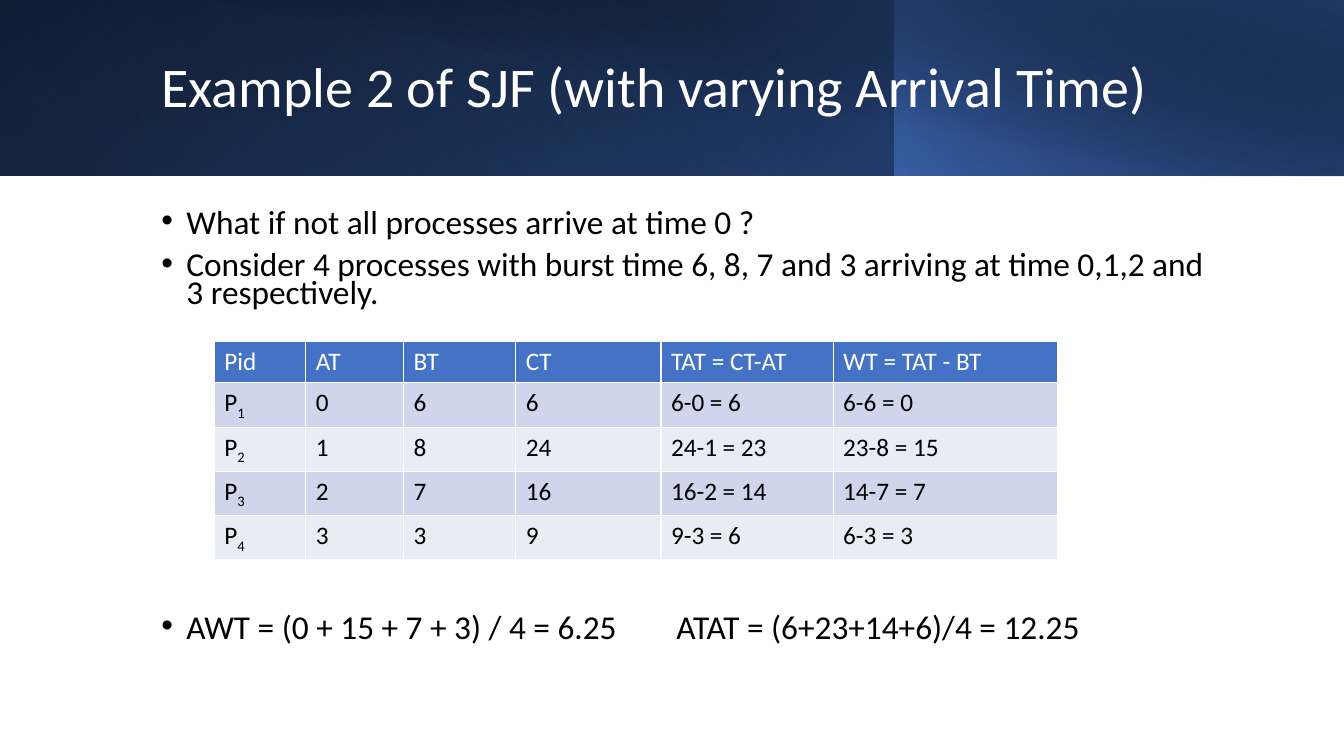
from pptx import Presentation
from pptx.dml.color import RGBColor
from pptx.enum.shapes import MSO_SHAPE
from pptx.enum.text import MSO_ANCHOR, MSO_AUTO_SIZE, PP_ALIGN
from pptx.oxml import parse_xml
from pptx.oxml.ns import nsdecls
from pptx.util import Inches, Pt

RECT = MSO_SHAPE.RECTANGLE
MIDDLE, TOP = MSO_ANCHOR.MIDDLE, MSO_ANCHOR.TOP
LEFT = PP_ALIGN.LEFT
NO_FIT = MSO_AUTO_SIZE.NONE
FONT = "Calibri"
WHITE, BLACK, BLUE, NAVY = "FFFFFF", "000000", "4472C4", "203864"
WIDE, HIGH = Inches(13.333), Inches(7.5)
COLS, ROWS = 160, 90

BANDS = [
    ((0, 0, 160, 20.9), True, 0, 140, [(0, BLACK, 100), (100, "2F5597", 100)]),
    ((0, 0, 106.5, 20.9), True, 180, 230, [(20, BLUE, 0), (100, NAVY, 55)]),
    ((106.5, 0, 53.5, 20.9), True, 0, 220, [(0, BLUE, 66), (100, BLACK, 30)]),
    ((6, 0, 154, 21), False, 0, 280, [(50, BLACK, 0), (99, NAVY, 52)]),
]
POINTS = [
    ("What if not all processes arrive at time 0 ?", 0),
    ("Consider 4 processes with burst time 6, 8, 7 and 3 arriving at time 0,1,2 and 3 respectively.", 10),
    ("AWT = (0 + 15 + 7 + 3) / 4 = 6.25\tATAT = (6+23+14+6)/4 = 12.25", 219),
]
HEADS = ["Pid", "AT", "BT", "CT", "TAT = CT-AT", "WT = TAT - BT"]
TIMES = [
    ("0", "6", "6", "6-0 = 6", "6-6 = 0"),
    ("1", "8", "24", "24-1 = 23", "23-8 = 15"),
    ("2", "7", "16", "16-2 = 14", "14-7 = 7"),
    ("3", "3", "9", "9-3 = 6", "6-3 = 3"),
]
SPANS = [10.9, 11.65, 13.35, 17.3, 20.5, 26.7]


def color(code):
    return RGBColor.from_string(code)


def place(box):
    x, y, w, h = box
    return [int(n) for n in (WIDE * x / COLS, HIGH * y / ROWS,
                             WIDE * w / COLS, HIGH * h / ROWS)]


def move(shape, box):
    shape.left, shape.top, shape.width, shape.height = place(box)


def add_run(para, text, size, code, sub=False):
    run = para.add_run()
    run.text = text
    font = run.font
    font.name, font.size, font.bold = FONT, Pt(size), False
    font.color.rgb = color(code)
    if sub:
        run._r.get_or_add_rPr().set("baseline", "-25000")


def add_band(slide, box, flip, turn, angle, stops):
    band = slide.shapes.add_shape(RECT, *place(box))
    band.shadow.inherit = False
    band.line.fill.background()
    band.rotation = turn
    props = band._element.spPr
    if flip:
        props.xfrm.set("flipH", "1")
    marks = "".join(
        f'<a:gs pos="{pos * 1000}"><a:srgbClr val="{code}">'
        f'<a:alpha val="{alpha * 1000}"/></a:srgbClr></a:gs>'
        for pos, code, alpha in stops)
    props.insert(2, parse_xml(
        f'<a:gradFill {nsdecls("a")} rotWithShape="1"><a:gsLst>{marks}</a:gsLst>'
        f'<a:lin ang="{angle * 60000}" scaled="0"/></a:gradFill>'))


def add_title(slide, box):
    title = slide.shapes.title
    slide.shapes._spTree.append(title._element)
    move(title, box)
    frame = title.text_frame
    frame.auto_size, frame.vertical_anchor = NO_FIT, MIDDLE
    para = frame.paragraphs[0]
    para.alignment, para.line_spacing = LEFT, 0.9
    add_run(para, "Example 2 of SJF (with varying Arrival Time)", 40, WHITE)


def add_points(slide, box):
    body = slide.placeholders[1]
    slide.shapes._spTree.append(body._element)
    move(body, box)
    frame = body.text_frame
    frame.auto_size, frame.vertical_anchor = NO_FIT, TOP
    for i, (text, gap) in enumerate(POINTS):
        para = frame.add_paragraph() if i else frame.paragraphs[0]
        para.alignment, para.line_spacing = LEFT, 0.7
        para.space_before = Pt(gap)
        props = para._p.get_or_add_pPr()
        props.set("marL", str(Inches(0.25)))
        props.set("indent", str(-Inches(0.25)))
        for tag in (
                '<a:buFont {} typeface="Arial"/>',
                '<a:buChar {} char="•"/>',
                f'<a:tabLst {{}}><a:tab pos="{Inches(5.11)}" algn="l"/></a:tabLst>'):
            props.append(parse_xml(tag.format(nsdecls("a"))))
        add_run(para, text, 23.8, BLACK)


def add_times(slide, box):
    rows = [HEADS] + [("P", *line) for line in TIMES]
    table = slide.shapes.add_table(len(rows), len(HEADS), *place(box)).table
    for col, span in zip(table.columns, SPANS):
        col.width = int(WIDE * span / COLS)
    for r, row in enumerate(rows):
        shade = ("E9EBF5", "CFD5EA")[r % 2] if r else BLUE
        ink = BLACK if r else WHITE
        for c, text in enumerate(row):
            cell = table.cell(r, c)
            cell.fill.solid()
            cell.fill.fore_color.rgb = color(shade)
            para = cell.text_frame.paragraphs[0]
            add_run(para, text, 18, ink)
            if r and c == 0:
                add_run(para, str(r), 18, ink, True)


def main():
    deck = Presentation()
    deck.slide_width, deck.slide_height = WIDE, HIGH
    slide = deck.slides.add_slide(deck.slide_layouts[1])
    for band in BANDS:
        add_band(slide, *band)
    add_title(slide, (18, 3.84, 129.84, 13.56))
    add_points(slide, (18, 24.7, 127.6, 54))
    add_times(slide, (25.5, 40.7, sum(SPANS), 24.4))
    deck.save("out.pptx")


if __name__ == "__main__":
    main()
